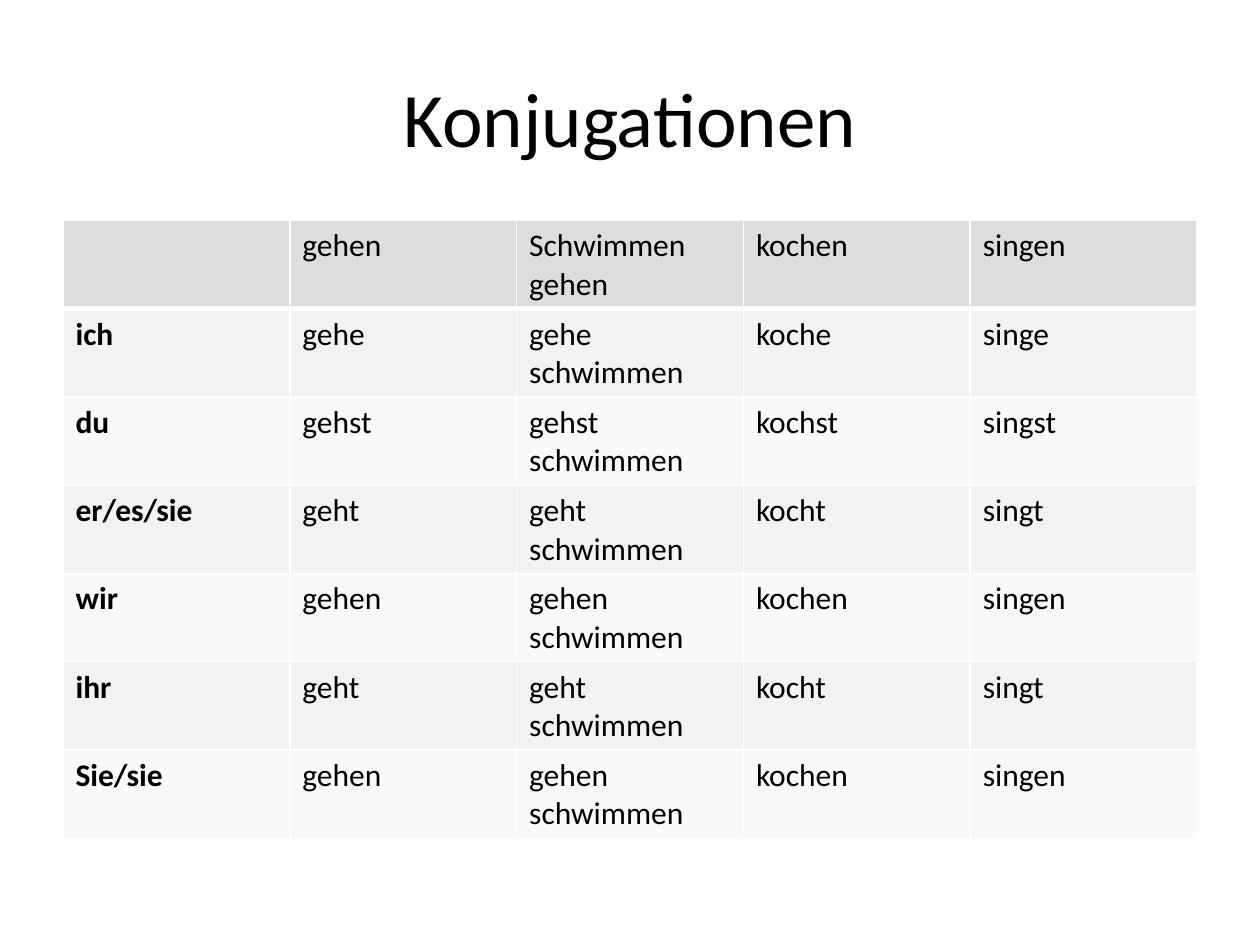
from lxml import etree
from pptx import Presentation
from pptx.dml.color import RGBColor
from pptx.enum.text import MSO_ANCHOR, PP_ALIGN
from pptx.oxml.ns import qn
from pptx.util import Inches, Pt

MIDDLE = MSO_ANCHOR.MIDDLE
CENTER = PP_ALIGN.CENTER

# Content
TITLE = "Konjugationen"
HEADER = ["", "gehen", "Schwimmen gehen", "kochen", "singen"]
CONJUGATIONS = [
    ["ich", "gehe", "gehe schwimmen", "koche", "singe"],
    ["du", "gehst", "gehst schwimmen", "kochst", "singst"],
    ["er/es/sie", "geht", "geht schwimmen", "kocht", "singt"],
    ["wir", "gehen", "gehen schwimmen", "kochen", "singen"],
    ["ihr", "geht", "geht schwimmen", "kocht", "singt"],
    ["Sie/sie", "gehen", "gehen schwimmen", "kochen", "singen"],
]

# Style and layout
FONT = "Calibri"
BLACK, WHITE = "000000", "FFFFFF"
HEADER_FILL = "DDDDDD"
BAND_FILLS = ["F2F2F2", "F9F9F9"]
SLIDE_WIDTH, SLIDE_HEIGHT = Inches(10), Inches(7.5)
MARGIN = Inches(0.5)
CONTENT_WIDTH = SLIDE_WIDTH - 2 * MARGIN
TITLE_TOP, TITLE_HEIGHT = Inches(0.3), Inches(1.25)
TABLE_TOP, ROW_HEIGHT = Inches(1.75), Inches(0.7)


def color(hex_value):
    return RGBColor.from_string(hex_value)


def add_run(paragraph, text, size, bold=False):
    run = paragraph.add_run()
    run.text = text
    run.font.name = FONT
    run.font.size = Pt(size)
    run.font.bold = bold
    run.font.color.rgb = color(BLACK)


def set_borders(cell, bottom_width):
    properties = cell._tc.get_or_add_tcPr()
    widths = {"a:lnL": 1, "a:lnR": 1, "a:lnT": 1, "a:lnB": bottom_width}
    for tag, width in widths.items():
        line = etree.SubElement(properties, qn(tag), w=str(Pt(width)))
        fill = etree.SubElement(line, qn("a:solidFill"))
        etree.SubElement(fill, qn("a:srgbClr"), val=WHITE)


def add_title(slide):
    box = slide.shapes.add_textbox(MARGIN, TITLE_TOP, CONTENT_WIDTH, TITLE_HEIGHT)
    frame = box.text_frame
    frame.word_wrap = True
    frame.vertical_anchor = MIDDLE
    paragraph = frame.paragraphs[0]
    paragraph.alignment = CENTER
    add_run(paragraph, TITLE, 44)


def add_conjugation_table(slide):
    rows = [HEADER] + CONJUGATIONS
    table = slide.shapes.add_table(
        len(rows), len(HEADER), MARGIN, TABLE_TOP,
        CONTENT_WIDTH, ROW_HEIGHT * len(rows),
    ).table
    for row_index, row in enumerate(rows):
        is_header = row_index == 0
        fill = HEADER_FILL if is_header else BAND_FILLS[(row_index - 1) % 2]
        for column_index, text in enumerate(row):
            cell = table.cell(row_index, column_index)
            set_borders(cell, 3 if is_header else 1)
            cell.fill.solid()
            cell.fill.fore_color.rgb = color(fill)
            if text:
                is_pronoun = column_index == 0
                add_run(cell.text_frame.paragraphs[0], text, 18, is_pronoun)


def main():
    presentation = Presentation()
    presentation.slide_width = SLIDE_WIDTH
    presentation.slide_height = SLIDE_HEIGHT
    slide = presentation.slides.add_slide(presentation.slide_layouts[6])
    add_title(slide)
    add_conjugation_table(slide)
    presentation.save("out.pptx")


if __name__ == "__main__":
    main()
